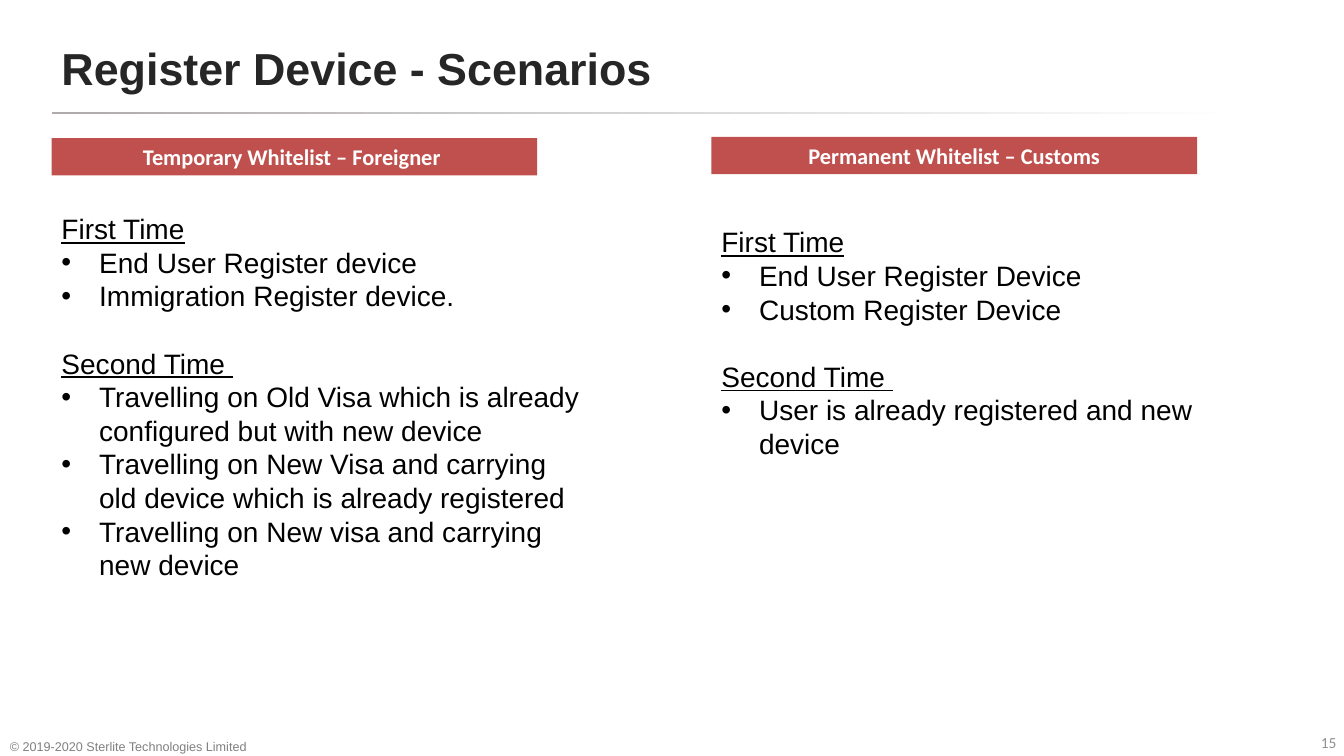
from dataclasses import dataclass

from lxml import etree
from pptx import Presentation
from pptx.dml.color import RGBColor
from pptx.enum.shapes import MSO_SHAPE
from pptx.enum.text import MSO_ANCHOR, PP_ALIGN
from pptx.oxml.ns import qn
from pptx.util import Cm, Pt

RECTANGLE = MSO_SHAPE.RECTANGLE
ROUNDED = MSO_SHAPE.ROUNDED_RECTANGLE
TOP, MIDDLE, BOTTOM = MSO_ANCHOR.TOP, MSO_ANCHOR.MIDDLE, MSO_ANCHOR.BOTTOM
LEFT, CENTER, RIGHT = PP_ALIGN.LEFT, PP_ALIGN.CENTER, PP_ALIGN.RIGHT

COLORS = {
    "title": "262626",
    "rule": "AFABAB",
    "banner": "C0504D",
    "white": "FFFFFF",
    "body": "000000",
    "number": "929292",
    "footer": "808080",
}
MARGIN = 1.3
LINE_PITCH = Pt(24)
BULLET_INDENT = Cm(0.95)


@dataclass
class Label:
    text: str
    left: float
    top: float
    width: float
    height: float
    font: str
    size: float
    color: str
    bold: bool = False
    align: PP_ALIGN = LEFT
    anchor: MSO_ANCHOR = MIDDLE
    inset_x: float = 0.25
    inset_y: float = 0.13


@dataclass
class Section:
    heading: str
    steps: list[str]


@dataclass
class Scenario:
    banner: str
    left: float
    banner_top: float
    body_top: float
    body_height: float
    sections: list[Section]


LABELS = [
    Label("Register Device - Scenarios", MARGIN, 0.58, 25.2, 2.24,
          "Arial", 32, "title", bold=True),
    Label("15", 32.8, 18.34, 1.01, 0.64, "Calibri", 11, "number",
          align=RIGHT, anchor=TOP, inset_x=0.13),
    Label("© 2019-2020 Sterlite Technologies Limited", 0, 18.34, 7.7, 0.71,
          "Arial", 9, "footer", anchor=BOTTOM, inset_y=0.05),
]

SCENARIOS = [
    Scenario("Temporary Whitelist – Foreigner ", MARGIN, 3.48, 5.21, 9.58, [
        Section("First Time", [
            "End User Register device",
            "Immigration Register device.",
        ]),
        Section("Second Time ", [
            "Travelling on Old Visa which is already configured but with new device",
            "Travelling on New Visa and carrying old device which is already registered",
            "Travelling on New visa and carrying new device",
        ]),
    ]),
    Scenario("Permanent Whitelist – Customs", 17.93, 3.45, 5.54, 6.17, [
        Section("First Time", [
            "End User Register Device",
            "Custom Register Device",
        ]),
        Section("Second Time ", ["User is already registered and new device"]),
    ]),
]


def rgb(name: str) -> RGBColor:
    return RGBColor.from_string(COLORS[name])


def style_font(font, name: str, size: float, color: str, bold: bool = False) -> None:
    font.name = name
    font.size = Pt(size)
    font.bold = bold
    font.color.rgb = rgb(color)


def write_label(shape, label: Label) -> None:
    frame = shape.text_frame
    frame.word_wrap = True
    frame.vertical_anchor = label.anchor
    frame.margin_left = frame.margin_right = Cm(label.inset_x)
    frame.margin_top = frame.margin_bottom = Cm(label.inset_y)
    para = frame.paragraphs[0]
    para.text = label.text
    para.alignment = label.align
    style_font(para.font, label.font, label.size, label.color, label.bold)


def add_label(page, label: Label) -> None:
    box = page.shapes.add_textbox(Cm(label.left), Cm(label.top),
                                  Cm(label.width), Cm(label.height))
    write_label(box, label)


def add_rule(page) -> None:
    rule = page.shapes.add_shape(ROUNDED, Cm(MARGIN), Cm(2.82), Cm(31.27), Cm(0.06))
    rule.shadow.inherit = False
    rule.adjustments[0] = 0.5
    rule.line.fill.background()
    rule.fill.gradient()
    rule.fill.gradient_angle = 0
    for stop, position, color in zip(rule.fill.gradient_stops, (0, 0.96),
                                     ("rule", "white")):
        stop.position = position
        stop.color.rgb = rgb(color)


def add_banner(page, scenario: Scenario) -> None:
    label = Label(scenario.banner, scenario.left, scenario.banner_top, 12.24, 0.94,
                  "Calibri", 16, "white", bold=True, align=CENTER, inset_x=0.13)
    banner = page.shapes.add_shape(RECTANGLE, Cm(label.left), Cm(label.top),
                                   Cm(label.width), Cm(label.height))
    banner.shadow.inherit = False
    banner.fill.solid()
    banner.fill.fore_color.rgb = rgb("banner")
    banner.line.fill.background()
    write_label(banner, label)


def add_bullet(para) -> None:
    properties = para._p.get_or_add_pPr()
    properties.set("marL", str(BULLET_INDENT))
    properties.set("indent", str(-BULLET_INDENT))
    etree.SubElement(properties, qn("a:buFont")).set("typeface", "Arial")
    etree.SubElement(properties, qn("a:buChar")).set("char", "•")


def add_body(page, scenario: Scenario) -> None:
    box = page.shapes.add_textbox(Cm(scenario.left), Cm(scenario.body_top),
                                  Cm(13.84), Cm(scenario.body_height))
    frame = box.text_frame
    frame.word_wrap = True
    frame.vertical_anchor = TOP
    for index, section in enumerate(scenario.sections):
        heading = frame.add_paragraph() if index else frame.paragraphs[0]
        heading.text = section.heading
        if index:
            heading.space_before = LINE_PITCH
        heading.font.underline = True
        for step in section.steps:
            para = frame.add_paragraph()
            para.text = step
            add_bullet(para)
    for para in frame.paragraphs:
        para.line_spacing = LINE_PITCH
        style_font(para.font, "Arial", 20, "body")


def main() -> None:
    deck = Presentation()
    deck.slide_width, deck.slide_height = Cm(33.87), Cm(19.05)
    page = deck.slides.add_slide(deck.slide_layouts[6])
    add_rule(page)
    for label in LABELS:
        add_label(page, label)
    for scenario in SCENARIOS:
        add_body(page, scenario)
        add_banner(page, scenario)
    deck.save("out.pptx")


if __name__ == "__main__":
    main()
